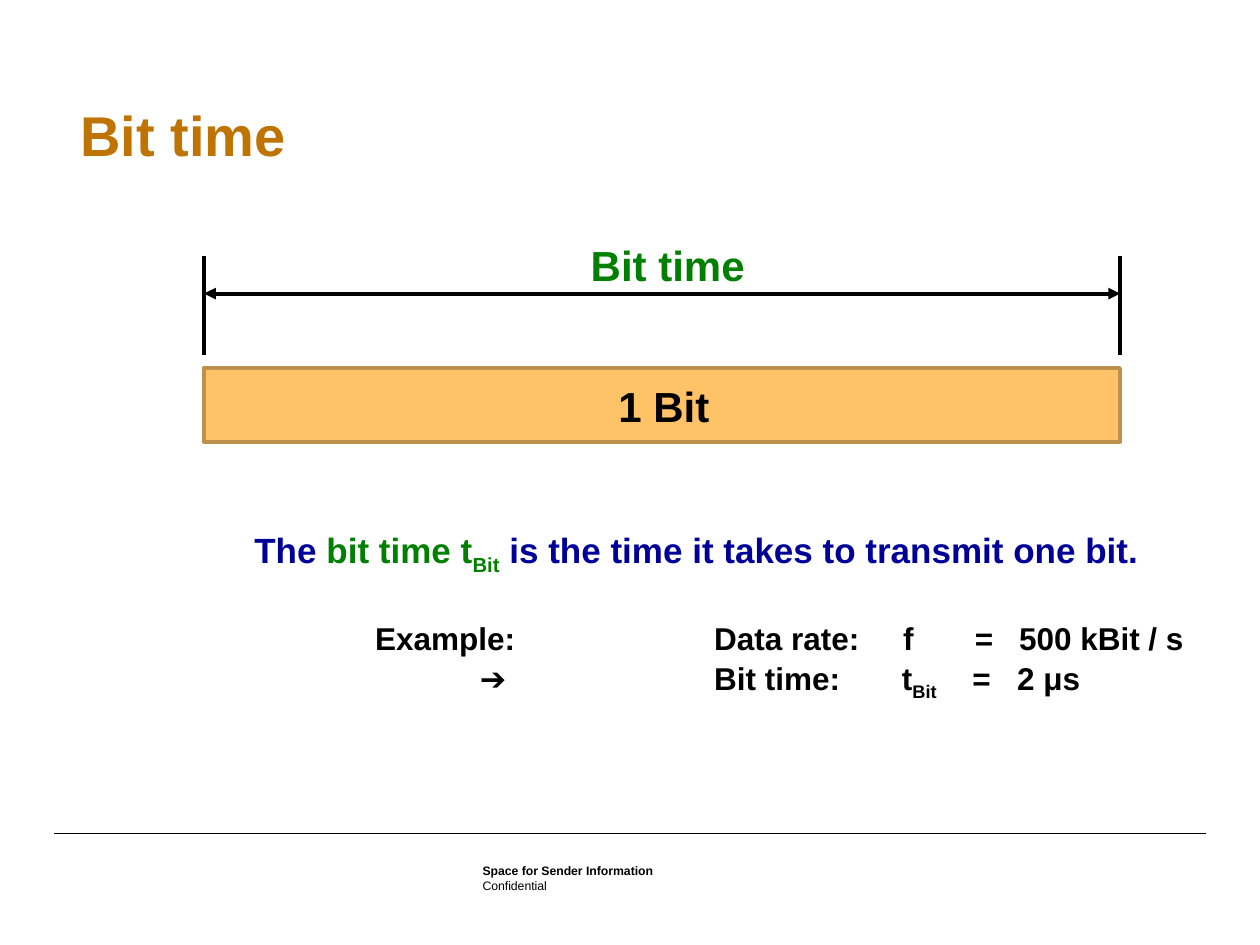
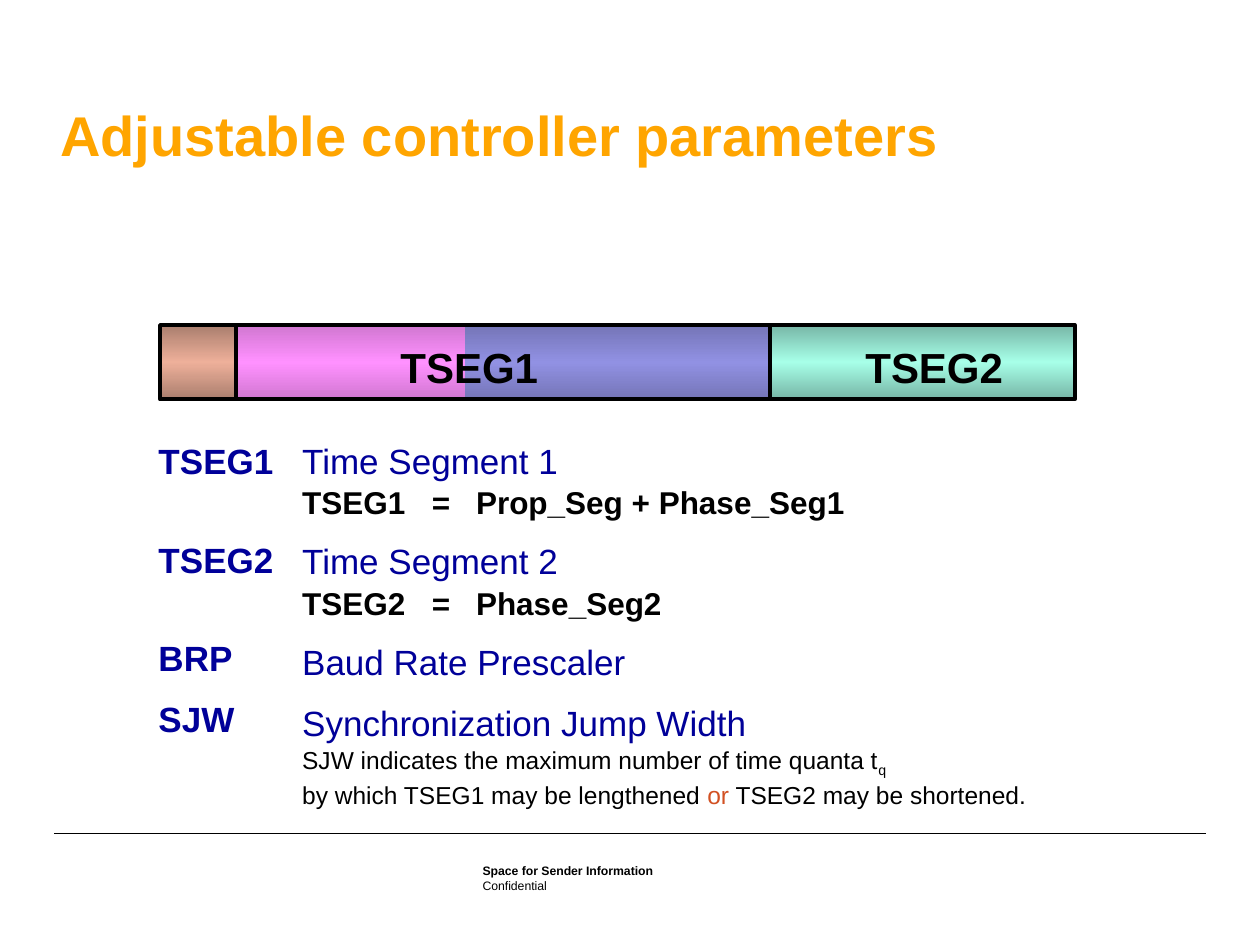
from copy import deepcopy
from dataclasses import dataclass

from lxml import etree
from pptx import Presentation
from pptx import util as u
from pptx.dml.color import RGBColor
from pptx.enum import shapes, text
from pptx.oxml.ns import qn


@dataclass(frozen=True)
class Theme:
    font: str = "Arial"
    black: str = "000000"
    navy: str = "000099"
    green: str = "008000"
    amber: str = "BF7300"
    orange: str = "FFA500"
    rust: str = "D25123"
    sand: str = "FFC266"
    tan: str = "BD904B"
    title: int = 32
    label: int = 24
    lead: int = 20
    body: int = 18
    note: int = 14
    foot: int = 7
    rule: float = 0.35
    edge: float = 2
    bold: float = 2.25
    pitch: float = 1.05
    gap: float = 9.6
    row: float = 31.3


T = Theme()
COLS, ROWS = 100, 75
CELL = u.Inches(0.1)
LEAD = dict(size=T.lead, color=T.navy)
HEAD = dict(LEAD, bold=True)
BODY = dict(size=T.body, bold=True)
NOTE = dict(size=T.note)
LABEL = dict(size=T.label, bold=True)
SUB = dict(base=-25)


def grid(*vals):
    return [u.Emu(round(val * CELL)) for val in vals]


def put(obj, vals):
    for name, val in vals.items():
        setattr(obj, name, val)


def child(node, tag, **vals):
    return etree.SubElement(node, qn(tag), {k: str(v) for k, v in vals.items()})


def write(para, words, fmt):
    run = para.add_run()
    run.text = words
    fmt = dict(fmt)
    tint = fmt.pop("color", T.black)
    base = fmt.pop("base", 0)
    fmt["size"] = u.Pt(fmt["size"])
    run.font.color.rgb = RGBColor.from_string(tint)
    put(run.font, dict(fmt, name=T.font))
    if base:
        run.font._element.set("baseline", str(base * 1000))
    return run


def block(slide, box, paras, pad=True, anchor=text.MSO_ANCHOR.TOP):
    frame = slide.shapes.add_textbox(*grid(*box)).text_frame
    put(frame, dict(word_wrap=True, vertical_anchor=anchor))
    if not pad:
        put(frame, dict.fromkeys(
            ("margin_left", "margin_top", "margin_right", "margin_bottom"), 0))
    for i, (runs, fmt, *more) in enumerate(paras):
        para = frame.paragraphs[0] if i == 0 else frame.add_paragraph()
        opts = more[0] if more else {}
        if pad:
            para.line_spacing = T.pitch
        if "gap" in opts:
            para.space_before = u.Pt(opts["gap"])
        if "tabs" in opts:
            tabs = child(para._p.get_or_add_pPr(), "a:tabLst")
            for pos in grid(*opts["tabs"]):
                child(tabs, "a:tab", pos=int(pos), algn="l")
        for words, diff in runs:
            write(para, words, {**fmt, **diff})
    return frame


def plain(words):
    return [(words, {})]


def label(slide, box, words, **diff):
    return block(slide, box, [(plain(words), {**LABEL, **diff})])


def line(slide, start, end, width, arrows=False):
    link = slide.shapes.add_connector(
        shapes.MSO_CONNECTOR.STRAIGHT, *grid(*start, *end))
    link.line.color.rgb = RGBColor.from_string(T.black)
    link.line.width = u.Pt(width)
    if arrows:
        for tag in ("a:headEnd", "a:tailEnd"):
            child(link.line._get_or_add_ln(), tag, type="triangle")
    child(link._element.spPr, "a:effectLst")


def shade(shape, rim, core):
    shape.fill.gradient()
    shape.fill.gradient_angle = 90
    stops = shape._element.spPr.find(".//" + qn("a:gsLst"))
    stops.append(deepcopy(stops[-1]))
    for stop, tint, pos in zip(shape.fill.gradient_stops, (rim, core, rim), (0, 0.5, 1)):
        stop.color.rgb = RGBColor.from_string(tint)
        stop.position = pos


def bar(slide, box, fill=None, edge=None, width=T.bold):
    shape = slide.shapes.add_shape(shapes.MSO_SHAPE.RECTANGLE, *grid(*box))
    shape.shadow.inherit = False
    if isinstance(fill, tuple):
        shade(shape, *fill)
    elif fill:
        shape.fill.solid()
        shape.fill.fore_color.rgb = RGBColor.from_string(fill)
    else:
        shape.fill.background()
    if edge:
        shape.line.color.rgb = RGBColor.from_string(edge)
        shape.line.width = u.Pt(width)
    else:
        shape.line.fill.background()


def glow(run):
    fill = run.font._element.find(qn("a:solidFill"))
    fx = etree.Element(qn("a:effectLst"))
    cast = child(fx, "a:outerShdw", blurRad=38100, dist=38100, dir=2700000)
    child(cast, "a:srgbClr", val="C0C0C0")
    fill.addnext(fx)


def base(deck, title, left, tint):
    slide = deck.slides.add_slide(deck.slide_layouts[6])
    line(slide, (4.3, 66.1), (COLS - 4.3, 66.1), T.rule)
    foot = dict(size=T.foot)
    block(slide, (38.3, 69.7, 29.8, 1.4), [(plain("Confidential"), foot)], pad=False)
    block(slide, (38.3, 68.2, 29.8, 1.5),
          [(plain("Space for Sender Information"), dict(foot, bold=True))],
          pad=False, anchor=text.MSO_ANCHOR.BOTTOM)
    frame = label(slide, (left, 7.2, 76, 6.4), title, size=T.title, color=tint)
    glow(frame.paragraphs[0].runs[0])
    return slide


def timing(deck):
    slide = base(deck, "Bit time", 5.4, T.amber)
    left, right = 16.2, 88.9
    block(slide, (19.2, 41.3, 73.5, 4.4), [
        ([("The ", {}), ("bit time t", dict(color=T.green)),
          ("Bit", dict(SUB, color=T.green)),
          (" is the time it takes to transmit one bit.", {})], HEAD)])
    stops = [26.9, 41.8, 47.4, 50.95]
    block(slide, (28.8, 48.5, 68, 7.1), [
        (plain("Example:\tData rate:\tf\t=\t500 kBit / s"), BODY,
         dict(tabs=[26.9, 41.9, 47.6, 51.1])),
        ([("\t➔\tBit time:\tt", {}), ("Bit", SUB), ("\t=\t2 μs", {})], BODY,
         dict(tabs=[8.3] + stops))])
    bar(slide, (left, 29.2, right - left, 5.9), T.sand, T.tan, T.edge)
    line(slide, (left, 23.3), (right, 23.3), T.bold, arrows=True)
    label(slide, (45.9, 18.3, 15, 5), "Bit time", color=T.green)
    for side in (left, right):
        line(slide, (side, 28.2), (side, 20.3), T.bold)
    label(slide, (48.1, 29.5, 10, 5), "1 Bit")


def params(deck):
    slide = base(deck, "Adjustable controller parameters", 3.8, T.orange)
    gap, row = dict(gap=T.gap), dict(gap=T.row)
    block(slide, (11.6, 34.2, 11.6, 24.6), [
        (plain("TSEG1"), HEAD), (plain("TSEG2"), HEAD, row),
        (plain("BRP"), HEAD, row), (plain("SJW"), HEAD, gap)])
    cols = dict(tabs=[10.3, 13.8])
    block(slide, (23, 34.2, 61, 29.3), [
        (plain("Time Segment 1"), LEAD),
        (plain("TSEG1\t=\tProp_Seg + Phase_Seg1"), BODY, cols),
        (plain("Time Segment 2"), LEAD, gap),
        (plain("TSEG2\t=\tPhase_Seg2"), BODY, cols),
        (plain("Baud Rate Prescaler"), LEAD, gap),
        (plain("Synchronization Jump Width"), LEAD, gap),
        ([("SJW indicates the maximum number of time quanta t", {}), ("q", SUB)], NOTE),
        ([("by which TSEG1 may be lengthened ", {}), ("or", dict(color=T.rust)),
          (" TSEG2 may be shortened.", {})], NOTE)])
    left, top, high, step = 12.7, 25.8, 5.9, 6.05
    parts = [(1, "AA7E6E", "EEB09A", T.black), (3, "D177D1", "FF91FF", None),
             (4, "7575B7", "9191E3", None), (4, "77B6A6", "A7FFE8", T.black)]
    at = 0
    for span, rim, core, edge in parts:
        bar(slide, (left + at * step, top, span * step, high), (rim, core), edge)
        at += span
    bar(slide, (left + step, top, 7 * step, high), edge=T.black)
    for x, words in ((67.7, "TSEG2"), (30.8, "TSEG1")):
        label(slide, (x, 26.4, 13.6, 5), words)


def main():
    deck = Presentation()
    deck.slide_width, deck.slide_height = grid(COLS, ROWS)
    timing(deck)
    params(deck)
    deck.save("out.pptx")


if __name__ == "__main__":
    main()
